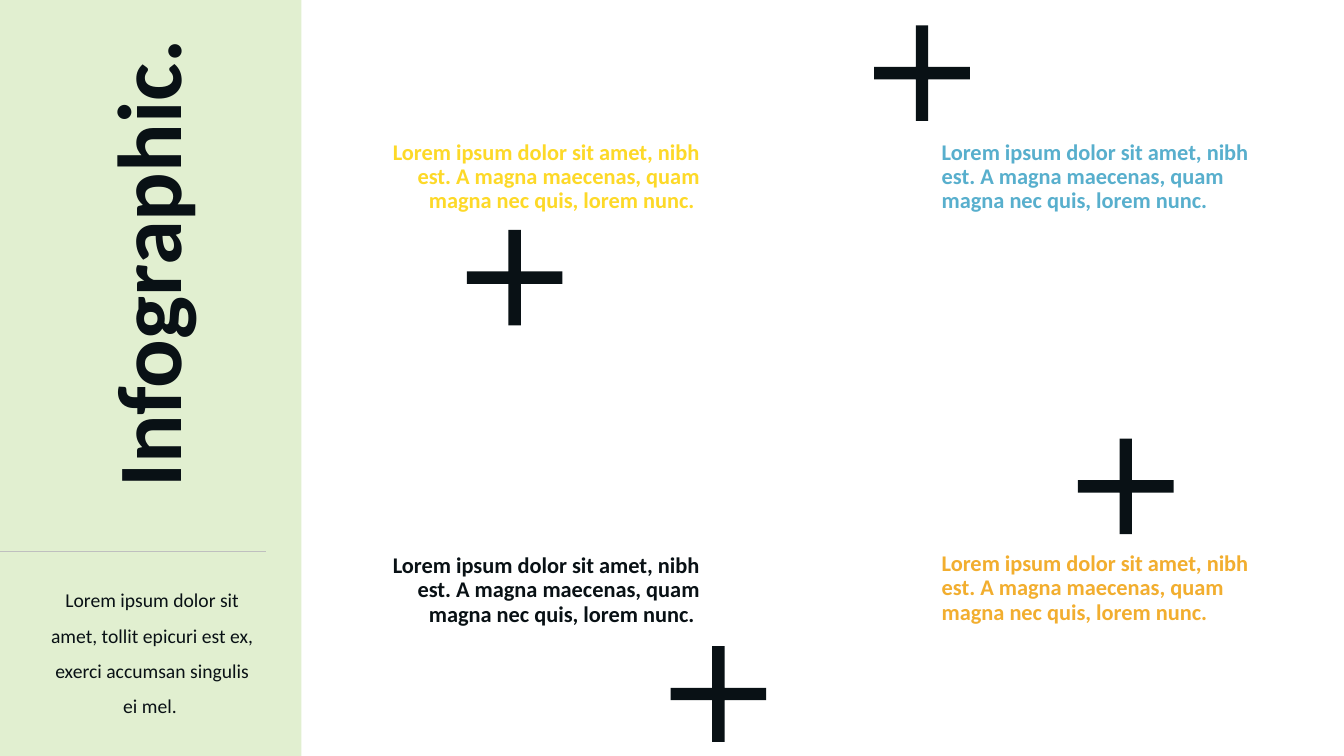
from pptx import Presentation
from pptx.dml.color import RGBColor
from pptx.enum.shapes import MSO_CONNECTOR, MSO_SHAPE
from pptx.enum.text import MSO_ANCHOR, MSO_AUTO_SIZE, PP_ALIGN
from pptx.util import Inches, Pt
from lxml import etree

HEX = {"mint": "E1EFD0", "white": "FFFFFF", "rule": "BFBFBF", "ink": "091115",
       "blue": "58AFCD", "yellow": "FDD928", "orange": "F2AE2F"}
INK = {name: RGBColor.from_string(code) for name, code in HEX.items()}
NS = "{http://schemas.openxmlformats.org/drawingml/2006/main}"
WIDE, HIGH = 13.33, 7.5
SIDE = 2.99  # width of the green side band
RULE = 5.47  # height of the rule in the side band


def write(shape, box, text, look, para, frame):
    """Place a text shape and set its single, unbulleted paragraph."""
    shape.left, shape.top, shape.width, shape.height = map(Inches, box)
    body = shape.text_frame
    body.text = text
    base = {"word_wrap": True, "auto_size": MSO_AUTO_SIZE.NONE}
    line = body.paragraphs[0]
    font = line.runs[0].font
    for part, values in ((body, base | frame), (line, para),
                         (font, {"name": "Calibri"} | look)):
        for key, value in values.items():
            if key == "color":
                font.color.rgb = INK[value]
            else:
                setattr(part, key, value)
    props = line._p.get_or_add_pPr()
    props.set("marL", "0")
    props.set("indent", "0")
    etree.SubElement(props, NS + "buNone")


deck = Presentation()
deck.slide_width, deck.slide_height = Inches(WIDE), Inches(HIGH)
slide = deck.slides.add_slide(deck.slide_layouts[4])
shapes = slide.shapes
back = slide.background.fill
back.solid()
back.fore_color.rgb = INK["mint"]

# White panel and side rule, placed behind the text
panel = shapes.add_shape(MSO_SHAPE.RECTANGLE, Inches(SIDE), 0,
                         Inches(WIDE - SIDE), Inches(HIGH))
panel.shadow.inherit = False
panel.fill.solid()
panel.fill.fore_color.rgb = INK["white"]
panel.line.fill.background()
rule = shapes.add_connector(MSO_CONNECTOR.STRAIGHT, 0, Inches(RULE),
                            Inches(2.64), Inches(RULE))
rule.line.color.rgb = INK["rule"]
rule.line.width = Pt(1)
etree.SubElement(rule._element.spPr, NS + "effectLst")
for depth, item in enumerate((panel, rule), 2):
    shapes._spTree.insert(depth, item._element)

# Side band: upright title and note
title, *bodies = slide.placeholders
write(title, (-0.98, 1.66, 4.98, 2.24), "Infographic.",
      {"size": Pt(64.8), "bold": True, "color": "ink"},
      {"alignment": PP_ALIGN.RIGHT, "line_spacing": 0.9},
      {"vertical_anchor": MSO_ANCHOR.MIDDLE})
title.rotation = 270
note = shapes.add_textbox(0, 0, 0, 0)
write(note, (0.39, 5.67, 2.24, 1.63),
      "Lorem ipsum dolor sit amet, tollit epicuri est ex, "
      "exerci accumsan singulis ei mel. ",
      {"size": Pt(14), "color": "ink"},
      {"alignment": PP_ALIGN.CENTER, "line_spacing": 1.5, "space_before": Pt(10)},
      {"vertical_anchor": MSO_ANCHOR.TOP})

# Four captions in two columns
LOREM = ("Lorem ipsum dolor sit amet, nibh est. "
         "A magna maecenas, quam magna nec quis, lorem nunc.")
LEFT = (3.57, PP_ALIGN.RIGHT, LOREM + " ")
RIGHT = (9.29, PP_ALIGN.LEFT, LOREM)
edge = Inches(0.05)
inset = {"vertical_anchor": MSO_ANCHOR.MIDDLE, "margin_left": edge,
         "margin_top": edge, "margin_right": 0, "margin_bottom": edge}
captions = ((RIGHT, 0.9, "blue"), (LEFT, 5, "ink"),
            (LEFT, 0.9, "yellow"), (RIGHT, 4.98, "orange"))
for body, ((x, align, text), y, tint) in zip(bodies, captions):
    write(body, (x, y, 3.37, 1.72), text,
          {"size": Pt(16), "bold": True, "color": tint},
          {"alignment": align, "line_spacing": 0.9, "space_before": Pt(10)}, inset)

# Plus signs at even steps across
PLUS = 1.29
for col, top in enumerate((2.11, 6.24, 0.08, 4.18)):
    plus = shapes.add_shape(MSO_SHAPE.MATH_PLUS, Inches(4.46 + 2.02 * col),
                            Inches(top), Inches(PLUS), Inches(PLUS))
    plus.adjustments[0] = 0.095
    plus.shadow.inherit = False
    plus.fill.solid()
    plus.fill.fore_color.rgb = INK["ink"]
    plus.line.fill.background()

deck.save("out.pptx")
